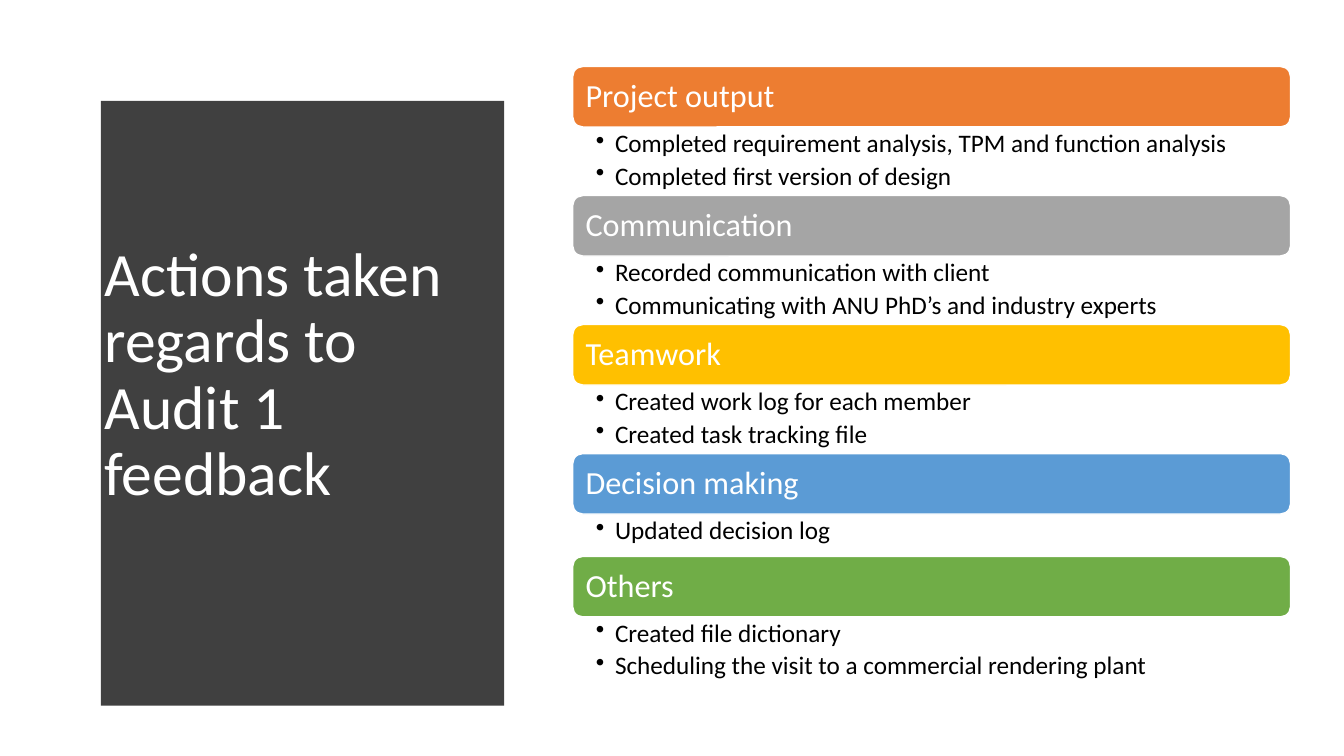
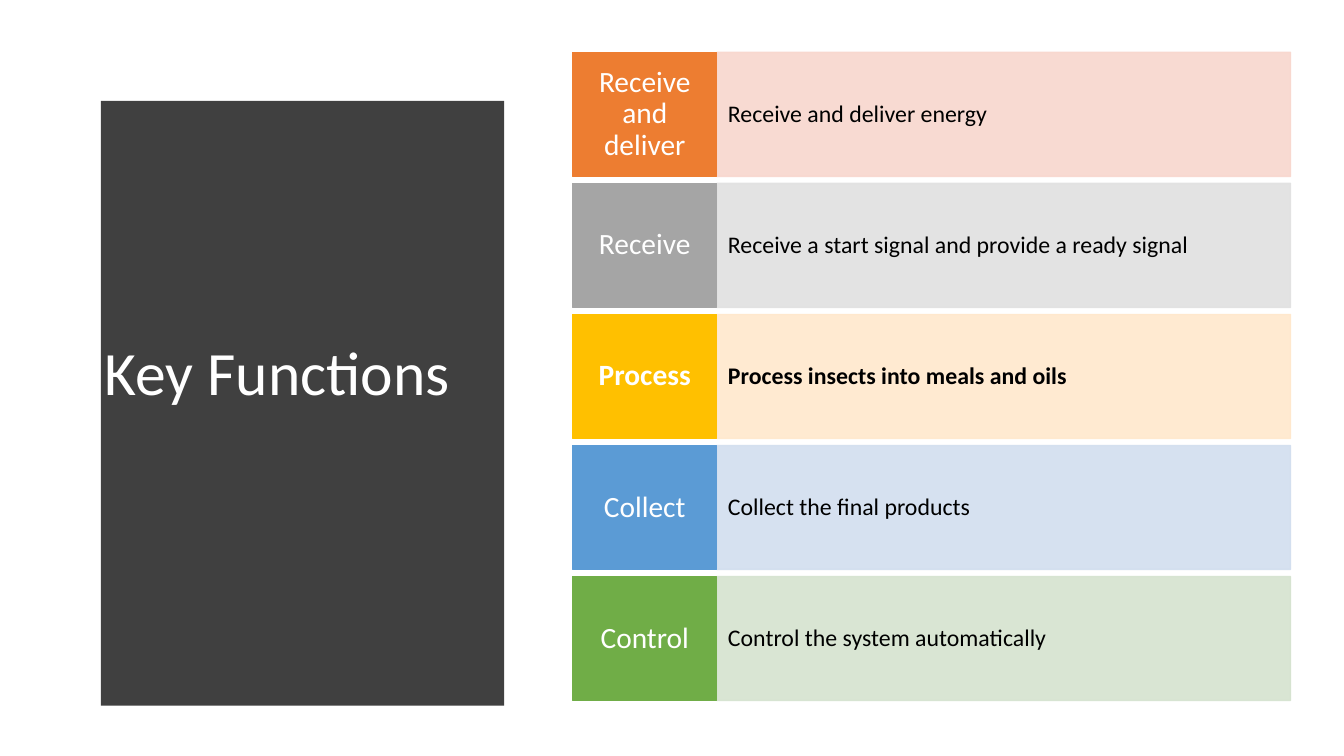
from lxml.etree import SubElement
from pptx import Presentation
from pptx.dml.color import RGBColor
from pptx.enum.shapes import MSO_SHAPE
from pptx.enum.text import MSO_ANCHOR, PP_ALIGN
from pptx.oxml.ns import qn
from pptx.util import Inches, Pt

# Shared style
FONT = "Calibri"
PANEL, WHITE, BLACK = "404040", "FFFFFF", "000000"
ACCENTS = ["ED7D31", "A5A5A5", "FFC000", "5B9BD5", "70AD47"]
TINTS = ["F8D7CE", "E1E1E1", "FFE8CC", "D2DEEF", "D5E3CF"]
TOP, BOTTOM = 0.52, 6.96
CONTENT_LEFT, CONTENT_WIDTH = 5.68, 7.12

# Text formats: size and colour go to the font, the rest to the frame or paragraph
TITLE = {"font": {"size": Pt(44), "color": WHITE}, "anchor": MSO_ANCHOR.MIDDLE,
         "insets": (0.1, 0.05)}
HEADING = {"font": {"size": Pt(23), "color": WHITE}, "anchor": MSO_ANCHOR.MIDDLE,
           "insets": (0.1, 0.1)}
BULLETS = {"font": {"size": Pt(18), "color": BLACK}, "anchor": MSO_ANCHOR.TOP,
           "insets": (0.23, 0.03), "space_after": Pt(3.6), "bullet": True}
LABEL = {"font": {"size": Pt(21), "color": WHITE}, "anchor": MSO_ANCHOR.MIDDLE,
         "insets": (0.08, 0.12), "align": PP_ALIGN.CENTER}
DETAIL = {"font": {"size": Pt(17), "color": BLACK}, "anchor": MSO_ANCHOR.MIDDLE,
          "insets": (0.11, 0.31)}

ACTIONS = [
    ("Project output", ["Completed requirement analysis, TPM and function analysis",
                        "Completed first version of design"]),
    ("Communication", ["Recorded communication with client",
                       "Communicating with ANU PhD’s and industry experts"]),
    ("Teamwork", ["Created work log for each member", "Created task tracking file"]),
    ("Decision making", ["Updated decision log"]),
    ("Others", ["Created file dictionary",
                "Scheduling the visit to a commercial rendering plant"]),
]
FUNCTIONS = [
    ("Receive and deliver", "Receive and deliver energy"),
    ("Receive", "Receive a start signal and provide a ready signal"),
    ("Process", "Process insects into meals and oils"),
    ("Collect", "Collect the final products"),
    ("Control", "Control the system automatically"),
]
KEY_FUNCTION = "Process"


def rgb(value):
    return RGBColor.from_string(value)


def add_bullet(p):
    pPr = p._p.get_or_add_pPr()
    pPr.set("marL", str(Inches(0.19)))
    pPr.set("indent", str(-Inches(0.19)))
    SubElement(pPr, qn("a:buChar"), char="•")


def write(s, lines, style, bold=False):
    """Fill a shape or text box with formatted paragraphs."""
    tf = s.text_frame
    side, end = (Inches(n) for n in style["insets"])
    frame = {"word_wrap": True, "vertical_anchor": style["anchor"],
             "margin_left": side, "margin_right": side,
             "margin_top": end, "margin_bottom": end}
    for name, value in frame.items():
        setattr(tf, name, value)
    para = {"alignment": style.get("align", PP_ALIGN.LEFT), "line_spacing": 0.9,
            "space_after": style.get("space_after", Pt(0))}
    font = {"name": FONT, "size": style["font"]["size"], "bold": bold}
    for i, line in enumerate(lines):
        p = tf.add_paragraph() if i else tf.paragraphs[0]
        for name, value in para.items():
            setattr(p, name, value)
        if style.get("bullet"):
            add_bullet(p)
        r = p.add_run()
        r.text = line
        for name, value in font.items():
            setattr(r.font, name, value)
        r.font.color.rgb = rgb(style["font"]["color"])


def add_text(slide, box, lines, style):
    s = slide.shapes.add_textbox(*(Inches(n) for n in box))
    write(s, lines, style)


def add_block(slide, kind, box, text, style, fill, line, bold=False, alpha=None):
    s = slide.shapes.add_shape(kind, *(Inches(n) for n in box))
    s.shadow.inherit = False
    s.fill.solid()
    s.fill.fore_color.rgb = rgb(fill)
    s.line.color.rgb = rgb(line)
    s.line.width = Pt(1)
    if alpha:
        for color in s._element.spPr.iter(qn("a:srgbClr")):
            SubElement(color, qn("a:alpha"), val=str(alpha * 1000))
    write(s, [text], style, bold)


def add_panel(slide):
    """Dark panel whose right side bulges as two half parabolas."""
    left, corner, bulge, peak, steps = 0.53, 5.08, 0.24, 3.53, 40
    edge = []
    for i in range(steps + 1):
        y = TOP + (BOTTOM - TOP) * i / steps
        reach = peak - TOP if y < peak else BOTTOM - peak
        edge.append((corner + bulge * (1 - ((y - peak) / reach) ** 2), y))
    fb = slide.shapes.build_freeform(left, TOP, scale=Inches(1))
    fb.add_line_segments(edge + [(left, BOTTOM)], close=True)
    s = fb.convert_to_shape()
    s.shadow.inherit = False
    s.fill.solid()
    s.fill.fore_color.rgb = rgb(PANEL)
    s.line.fill.background()


def new_slide(prs, title):
    slide = prs.slides.add_slide(prs.slide_layouts[6])
    add_panel(slide)
    add_text(slide, (0.94, 1.11, 3.74, 5.24), [title], TITLE)
    return slide


def add_actions(slide):
    """Coloured heading bars, each with its bullets below."""
    y, bar = 0.66, 0.6
    for (heading, items), accent in zip(ACTIONS, ACCENTS):
        height = 0.68 if len(items) > 1 else 0.42
        add_block(slide, MSO_SHAPE.ROUNDED_RECTANGLE,
                  (CONTENT_LEFT, y, CONTENT_WIDTH, bar), heading, HEADING, accent, WHITE)
        add_text(slide, (CONTENT_LEFT, y + bar + 0.01, CONTENT_WIDTH, height),
                 items, BULLETS)
        y += bar + height


def add_functions(slide):
    """Rows of a coloured label and a tinted description."""
    pitch, height, label_width = 1.3, 1.23, 1.43
    for i, (label, detail) in enumerate(FUNCTIONS):
        y = TOP + i * pitch
        bold = label == KEY_FUNCTION
        add_block(slide, MSO_SHAPE.RECTANGLE,
                  (CONTENT_LEFT + label_width, y, CONTENT_WIDTH - label_width, height),
                  detail, DETAIL, TINTS[i], TINTS[i], bold, alpha=90)
        add_block(slide, MSO_SHAPE.RECTANGLE, (CONTENT_LEFT, y, label_width, height),
                  label, LABEL, ACCENTS[i], ACCENTS[i], bold)


def main():
    prs = Presentation()
    prs.slide_width, prs.slide_height = Inches(13.33), Inches(7.5)
    add_actions(new_slide(prs, "Actions taken regards to Audit 1 feedback"))
    add_functions(new_slide(prs, "Key Functions"))
    prs.save("out.pptx")


if __name__ == "__main__":
    main()
